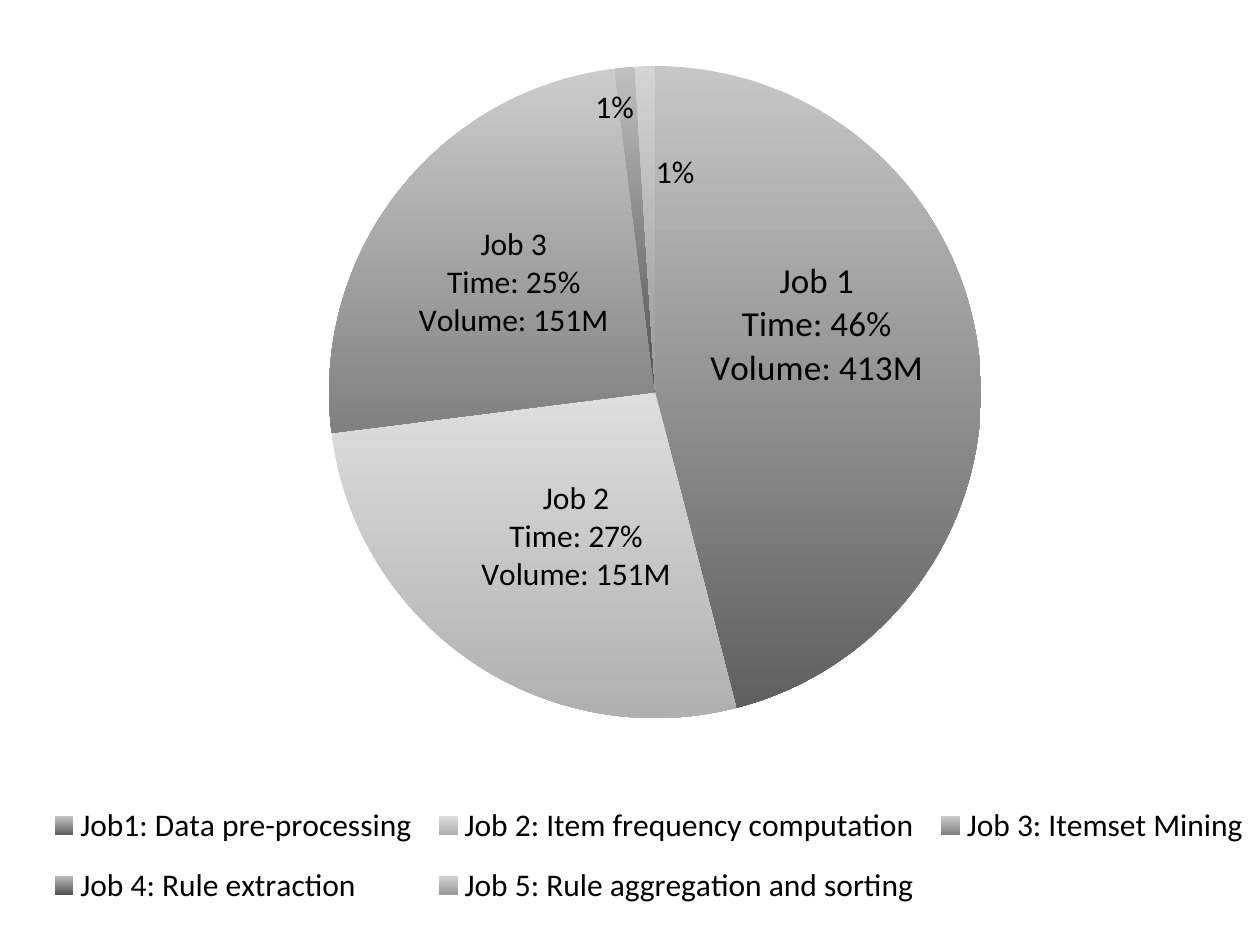
from lxml import etree
from pptx import Presentation
from pptx.chart.data import CategoryChartData
from pptx.dml.color import RGBColor
from pptx.enum import chart as chart_enum
from pptx.oxml import ns
from pptx.util import Inches, Pt

BLACK = RGBColor(0, 0, 0)
FONT = "Calibri"
JOBS = [
    ("Job1: Data pre-processing", 46, "C6C6C6", "606060", (0, -0.05), 20,
     ["Job 1", "Time: 46%", "Volume: 413M"]),
    ("Job 2: Item frequency computation", 27, "DEDEDE", "B0B0B0", (0.01, 0.01), 18,
     ["Job 2", "Time: 27%", "Volume: 151M"]),
    ("Job 3: Itemset Mining", 25, "CCCCCC", "808080", (-0.01, -0.01), 18,
     ["Job 3", "Time: 25%", "Volume: 151M"]),
    ("Job 4: Rule extraction", 1, "C0C0C0", "505050", (-0.02, -0.13), 18, []),
    ("Job 5: Rule aggregation and sorting", 1, "D4D4D4", "999999", (0.02, -0.06), 18, []),
]


def manual_layout(**settings):
    layout = etree.Element(ns.qn("c:layout"))
    manual = etree.SubElement(layout, ns.qn("c:manualLayout"))
    for name, value in settings.items():
        etree.SubElement(manual, ns.qn("c:" + name)).set("val", str(value))
    return layout


def style_font(font, size):
    font.name = FONT
    font.size = Pt(size)
    font.color.rgb = BLACK


presentation = Presentation()
presentation.slide_width = Inches(10)
presentation.slide_height = Inches(7.5)
slide = presentation.slides.add_slide(presentation.slide_layouts[6])

chart_data = CategoryChartData()
chart_data.categories = [job[0] for job in JOBS]
chart_data.add_series("Series 1", [job[1] for job in JOBS])
chart = slide.shapes.add_chart(
    chart_enum.XL_CHART_TYPE.PIE, 0, 0, Inches(10), Inches(7.5), chart_data).chart
chart.has_title = False
style_font(chart.font, 18)

chart.has_legend = True
legend = chart.legend
legend.position = chart_enum.XL_LEGEND_POSITION.BOTTOM
legend.include_in_layout = False
style_font(legend.font, 18)
legend._element.find(ns.qn("c:legendPos")).addnext(manual_layout(
    xMode="edge", yMode="edge", x=0.03, y=0.83, w=0.97, h=0.15))

plot = chart.plots[0]
plot.vary_by_categories = True
plot_area = plot._element.getparent()
for layout in plot_area.findall(ns.qn("c:layout")):
    plot_area.remove(layout)
plot_area.insert(0, manual_layout(
    layoutTarget="inner", xMode="edge", yMode="edge", x=0.26, y=0.07, w=0.52, h=0.69))

series = plot.series[0]
labels = series.data_labels
labels.show_percentage = True
labels.show_value = False
style_font(labels.font, 18)

for index, (name, value, top, bottom, offset, size, lines) in enumerate(JOBS):
    point = series.points[index]
    fill = point.format.fill
    fill.gradient()
    fill.gradient_angle = 270
    for stop, color in zip(fill.gradient_stops, (top, bottom)):
        stop.color.rgb = RGBColor.from_string(color)
    point.format.line.fill.background()

    label = point.data_label
    label.position = chart_enum.XL_LABEL_POSITION.CENTER
    if lines:
        frame = label.text_frame
        for number, line in enumerate(lines):
            paragraph = frame.add_paragraph() if number else frame.paragraphs[0]
            run = paragraph.add_run()
            run.text = line
            style_font(run.font, size)
    else:
        style_font(label.font, size)

    element = labels._element.findall(ns.qn("c:dLbl"))[index]
    element.find(ns.qn("c:showVal")).set("val", "0")
    element.find(ns.qn("c:showPercent")).set("val", "1")
    element.insert(1, manual_layout(x=offset[0], y=offset[1]))

presentation.save("out.pptx")
